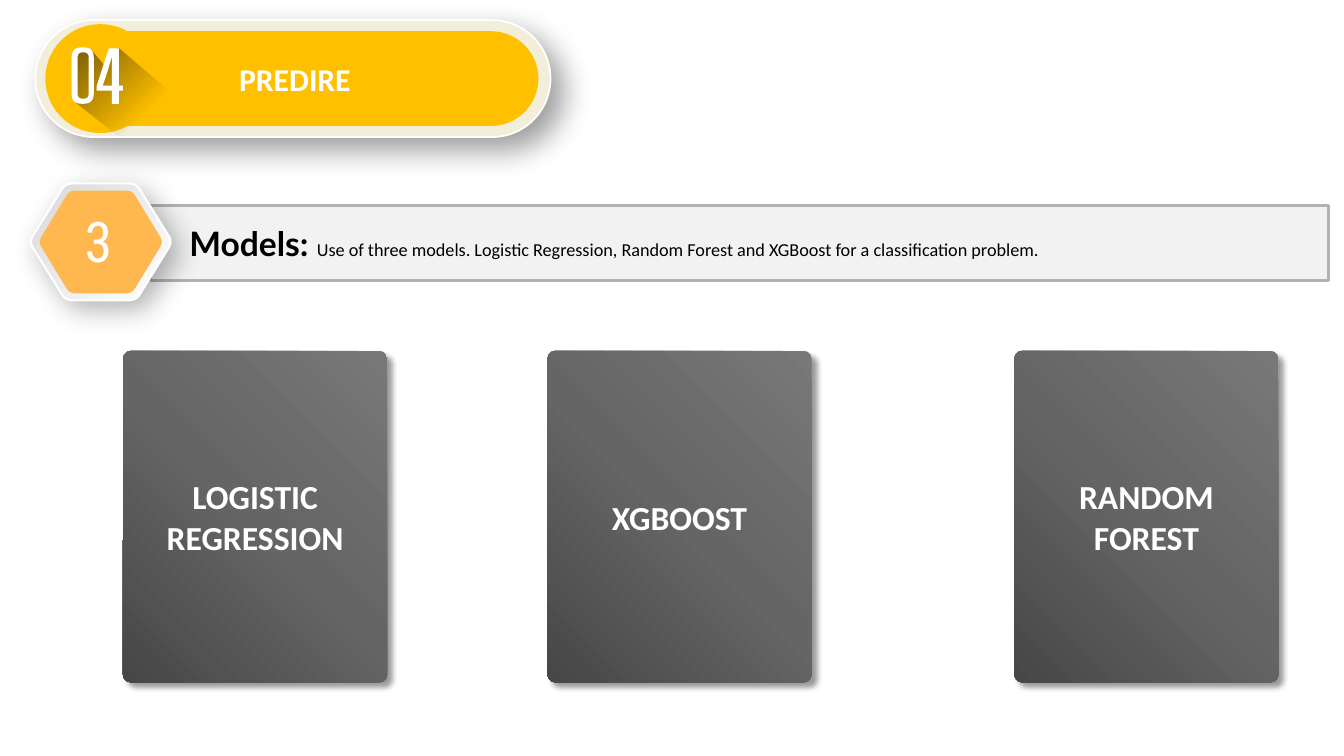
"""Build the slide on the three models used for prediction."""
from lxml.etree import SubElement as Sub
from pptx import Presentation
from pptx.dml.color import RGBColor as Rgb
from pptx.enum.shapes import MSO_SHAPE as Kind
from pptx.enum.text import MSO_ANCHOR as Anchor, PP_ALIGN as Align
from pptx.oxml.ns import qn
from pptx.util import Inches, Pt

COLORS = {"white": "FFFFFF", "black": "000000", "gold": "FFC000", "cream": "F2EEDA",
          "pale": "F2F2F2", "edge": "B2B2B2", "silver": "D9D9D9", "amber": "FFB850",
          "ink": "0D0D0D", "dark": "474747", "mid": "656565", "light": "787878"}
TITLE = "PREDIRE"
STEP = "3"
INTRO = [("Models: ", {"font": "Lato", "size": 24, "bold": True}),
         ("Use of three models. Logistic Regression, Random Forest and XGBoost "
          "for a classification problem.", {"size": 13})]
CARDS = [("LOGISTIC REGRESSION", 1.22), ("XGBOOST", 5.43), ("RANDOM FOREST", 10.06)]
CARD_TOP, CARD_W, CARD_H = 3.48, 2.62, 3.29
PILL = (0.51, 0.31, 4.83, 0.94)

FOUR = [(1.08, 0.48), (1.18, 0.48), (1.18, 0.85), (1.22, 0.85), (1.22, 0.9), (1.18, 0.9),
        (1.18, 1.03), (1.11, 1.03), (1.11, 0.9), (0.96, 0.9), (0.96, 0.85)]
NOTCH = [(1.11, 0.85), (1.11, 0.56), (1.07, 0.7), (1.02, 0.85)]
SHADE = [(1.18, 1.35), (0.75, 1.01), (0.75, 0.52), (0.92, 0.51), (1.04, 0.65),
         (1.09, 0.51), (1.18, 0.48), (1.71, 0.93)]
FADE = [(0, "ink", 55), (73, "ink", 0), (100, "ink", 0)]
METAL = [(0, "silver", 100), (100, "white", 100)]
SLATE = [(0, "dark", 100), (50, "mid", 100), (100, "light", 100)]


def color(name):
    return Rgb.from_string(COLORS[name])


def tint(parent, name, alpha):
    node = Sub(parent, qn("a:srgbClr"), val=COLORS[name])
    Sub(node, qn("a:alpha"), val=str(alpha * 1000))


def blend(shape, stops, corner=False):
    shape.fill.gradient()
    grad = shape._element.spPr.find(qn("a:gradFill"))
    for child in list(grad):
        grad.remove(child)
    group = Sub(grad, qn("a:gsLst"))
    for pos, name, alpha in stops:
        tint(Sub(group, qn("a:gs"), pos=str(pos * 1000)), name, alpha)
    if corner:
        way = Sub(grad, qn("a:path"), path="circle")
        Sub(way, qn("a:fillToRect"), t="100000", r="100000")
    else:
        Sub(grad, qn("a:lin"), ang="2700000", scaled="0")


def style(shape, fill, line=None, width=1, shadow=None, corner=False):
    if isinstance(fill, list):
        blend(shape, fill, corner)
    else:
        shape.fill.solid()
        shape.fill.fore_color.rgb = color(fill)
    if line:
        shape.line.color.rgb = color(line)
        shape.line.width = Pt(width)
    else:
        shape.line.fill.background()
    shape.shadow.inherit = False
    if shadow:
        alpha, blur, dist = shadow
        glow = Sub(shape._element.spPr.find(qn("a:effectLst")), qn("a:outerShdw"),
                   blurRad=str(Pt(blur)), dist=str(Pt(dist)), dir="2700000",
                   algn="tl", rotWithShape="0")
        tint(glow, "black", alpha)
    return shape


def write(shape, text, font="Calibri", size=24, fill="white", bold=False,
          align=Align.CENTER):
    frame = shape.text_frame
    frame.word_wrap = True
    frame.vertical_anchor = Anchor.MIDDLE
    para = frame.paragraphs[0]
    para.alignment = align
    run = para.add_run()
    run.text = text
    run.font.name, run.font.size, run.font.bold = font, Pt(size), bold
    run.font.color.rgb = color(fill)


def bend(points, cut, steps=6):
    """Round each corner of a polygon."""
    out = []
    for i, (x, y) in enumerate(points):
        ends = []
        for px, py in (points[i - 1], points[(i + 1) % len(points)]):
            part = cut / ((px - x) ** 2 + (py - y) ** 2) ** 0.5
            ends.append((x + (px - x) * part, y + (py - y) * part))
        (ax, ay), (bx, by) = ends
        for k in range(steps + 1):
            t = k / steps
            u = 1 - t
            out.append((u * u * ax + 2 * u * t * x + t * t * bx,
                        u * u * ay + 2 * u * t * y + t * t * by))
    return out


def frame_of(left, top, right, low):
    return [(left, top), (right, top), (right, low), (left, low)]


def hexa(mid_x, mid_y, wide, flat, half):
    return [(mid_x - wide, mid_y), (mid_x - flat, mid_y - half),
            (mid_x + flat, mid_y - half), (mid_x + wide, mid_y),
            (mid_x + flat, mid_y + half), (mid_x - flat, mid_y + half)]


def main():
    deck = Presentation()
    deck.slide_width, deck.slide_height = Inches(13.33), Inches(7.5)
    slide = deck.slides.add_slide(deck.slide_layouts[5])
    shapes = slide.shapes

    def add(kind, box, fill, adj=None, **look):
        shape = shapes.add_shape(kind, *map(Inches, box))
        if adj is not None:
            shape.adjustments[0] = adj
        return style(shape, fill, **look)

    def trace(rings, fill, **look):
        rings = [[(Inches(x), Inches(y)) for x, y in ring] for ring in rings]
        pen = shapes.build_freeform(*rings[0][0])
        for i, ring in enumerate(rings):
            if i:
                pen.move_to(*ring[0])
            pen.add_line_segments(ring[1:], close=True)
        return style(pen.convert_to_shape(), fill, **look)

    add(Kind.ROUNDED_RECTANGLE, (0.35, 0.2, 5.11, 1.16), "cream", 0.5,
        line="white", width=1.25, shadow=(38, 22, 12))
    add(Kind.ROUNDED_RECTANGLE, PILL, "gold", 0.5)
    add(Kind.OVAL, (0.45, 0.24, 1.09, 1.08), "gold")
    trace([SHADE], FADE)
    trace([bend(frame_of(0.71, 0.47, 0.93, 1.03), 0.1),
           bend(frame_of(0.77, 0.52, 0.88, 0.98), 0.05)], "white")
    trace([FOUR, NOTCH], "white")
    title = shapes.title
    title.left, title.top, title.width, title.height = map(Inches, PILL)
    write(title, TITLE, size=22.6, bold=True)
    shapes._spTree.append(title._element)

    add(Kind.RECTANGLE, (1.49, 2.04, 11.69, 0.74), "pale", line="edge", width=2)
    trace([bend(hexa(1, 2.4, 0.71, 0.35, 0.58), 0.07)], METAL,
          line="white", width=1.5, shadow=(30, 20, 8))
    trace([bend(hexa(1, 2.4, 0.62, 0.31, 0.51), 0.06)], "amber")
    intro = shapes.add_textbox(*map(Inches, (1.78, 2.16, 9.95, 0.5)))
    for text, look in INTRO:
        write(intro, text, fill="black", align=Align.LEFT, **look)
    step = shapes.add_textbox(*map(Inches, (0.45, 2, 1.05, 0.77)))
    write(step, STEP, font="Roboto Condensed", size=40)

    for name, left in CARDS:
        card = add(Kind.ROUNDED_RECTANGLE, (left, CARD_TOP, CARD_W, CARD_H), SLATE, 0.03,
                   shadow=(40, 4, 5), corner=True)
        write(card, name, bold=True)
    deck.save("out.pptx")


if __name__ == "__main__":
    main()
